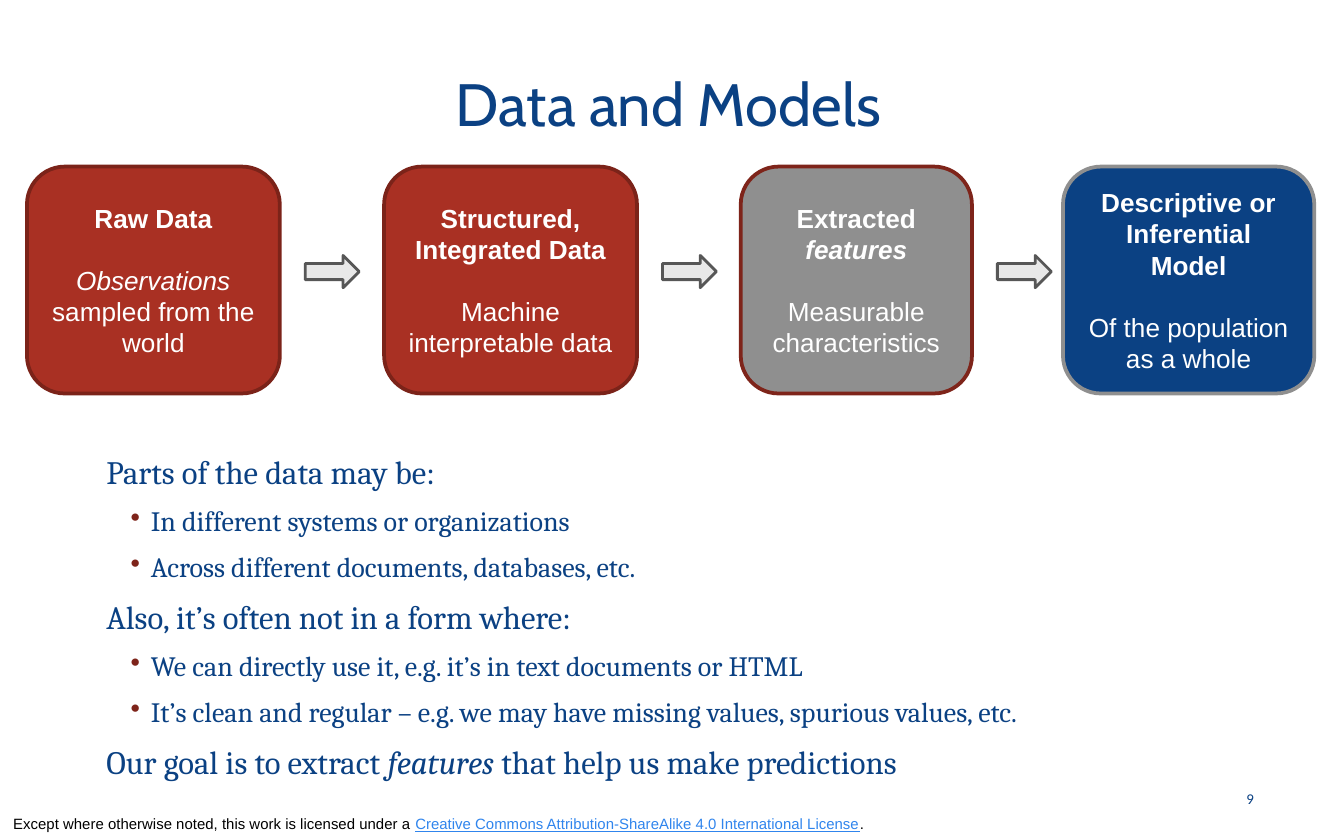
"""Build the "Data and Models" slide with its four-stage flow and talking points."""
import lxml.etree
import pptx
import pptx.dml.color
import pptx.enum.shapes
import pptx.enum.text
import pptx.oxml.ns
import pptx.util

Cm = pptx.util.Cm
Pt = pptx.util.Pt
RGBColor = pptx.dml.color.RGBColor
ALIGN = pptx.enum.text.PP_ALIGN
ANCHOR = pptx.enum.text.MSO_ANCHOR
SHAPE = pptx.enum.shapes.MSO_SHAPE
qn = pptx.oxml.ns.qn

NAVY = RGBColor(0x0B, 0x41, 0x83)
RED = RGBColor(0xA9, 0x30, 0x23)
DARK_RED = RGBColor(0x7B, 0x23, 0x19)
MAROON = RGBColor(0x7E, 0x24, 0x1A)
GRAY = RGBColor(0x8F, 0x8F, 0x8F)
LIGHT_GRAY = RGBColor(0xE8, 0xE8, 0xE8)
DARK_GRAY = RGBColor(0x57, 0x57, 0x57)
LINK_BLUE = RGBColor(0x30, 0x85, 0xED)
WHITE = RGBColor(0xFF, 0xFF, 0xFF)
BLACK = RGBColor(0x00, 0x00, 0x00)

BOX_TOP, BOX_HEIGHT = 3.15, 4.29
ARROW_WIDTH, ARROW_HEIGHT, ARROW_GAP = 1.02, 0.61, 0.48
BOLD = {"bold": True}
ITALIC = {"italic": True}

STAGES = [
    (0.51, 4.78, RED, DARK_RED, [("Raw Data", BOLD)],
     [("Observations", ITALIC), (" sampled from the world", {})]),
    (7.26, 4.78, RED, DARK_RED, [("Structured, Integrated Data", BOLD)],
     [("Machine interpretable data", {})]),
    (14.0, 4.37, GRAY, MAROON,
     [("Extracted ", BOLD), ("features", {"bold": True, "italic": True})],
     [("Measurable characteristics", {})]),
    (20.09, 4.75, NAVY, GRAY, [("Descriptive or Inferential Model", BOLD)],
     [("Of the population as a whole", {})]),
]

POINTS = [
    (0, [("Parts of the data may be:", {})]),
    (1, [("In different systems or organizations", {})]),
    (1, [("Across different documents, databases, etc.", {})]),
    (0, [("Also, it’s often not in a form where:", {})]),
    (1, [("We can directly use it, e.g. it’s in text documents or HTML", {})]),
    (1, [("It’s clean and regular – e.g. we may have missing values, spurious values, etc.", {})]),
    (0, [("Our goal is to extract ", {}), ("features", ITALIC),
         (" that help us make predictions", {})]),
]


def write_text(paragraph, runs, *, size, font, color, align=ALIGN.LEFT, before=0):
    """Fill a paragraph with runs, each a text and its own format."""
    paragraph.alignment = align
    paragraph.space_before = Pt(before)
    for text, style in runs:
        run = paragraph.add_run()
        run.text = text
        run.font.size = Pt(size)
        run.font.name = font
        run.font.color.rgb = style.get("color", color)
        run.font.bold = style.get("bold", False)
        run.font.italic = style.get("italic", False)
        run.font.underline = style.get("underline", False)


def add_text_box(slide, left, top, width, height, *, anchor=ANCHOR.MIDDLE, margin=0.13):
    """Add a wrapping text box and return its text frame."""
    shape = slide.shapes.add_textbox(Cm(left), Cm(top), Cm(width), Cm(height))
    frame = shape.text_frame
    frame.word_wrap = True
    frame.vertical_anchor = anchor
    frame.margin_top = frame.margin_bottom = Cm(margin)
    return frame


def add_filled_shape(slide, kind, left, top, width, height, *, fill, line, weight):
    """Add a flat preset shape with a fill and an outline."""
    shape = slide.shapes.add_shape(kind, Cm(left), Cm(top), Cm(width), Cm(height))
    shape.shadow.inherit = False
    shape.fill.solid()
    shape.fill.fore_color.rgb = fill
    shape.line.color.rgb = line
    shape.line.width = Pt(weight)
    return shape


def add_stage(slide, left, width, fill, line, heading, detail):
    """Add one rounded stage box with a heading and its detail."""
    shape = add_filled_shape(slide, SHAPE.ROUNDED_RECTANGLE, left, BOX_TOP, width,
                             BOX_HEIGHT, fill=fill, line=line, weight=2)
    frame = shape.text_frame
    frame.word_wrap = True
    frame.vertical_anchor = ANCHOR.MIDDLE
    style = {"size": 14, "font": "Arial", "color": WHITE, "align": ALIGN.CENTER}
    write_text(frame.paragraphs[0], heading, **style)
    write_text(frame.add_paragraph(), detail, before=16.5, **style)


def add_arrow(slide, left):
    """Add a block arrow centred on the height of the stage boxes."""
    top = BOX_TOP + (BOX_HEIGHT - ARROW_HEIGHT) / 2 - 0.16
    add_filled_shape(slide, SHAPE.RIGHT_ARROW, left, top, ARROW_WIDTH, ARROW_HEIGHT,
                     fill=LIGHT_GRAY, line=DARK_GRAY, weight=1.5)


def set_indent(paragraph, level):
    """Indent a paragraph, with a coloured bullet on the second level."""
    properties = paragraph._p.get_or_add_pPr()
    left, hanging = (1.3, -0.38) if level else (0.46, 0)
    properties.set("marL", str(Cm(left)))
    properties.set("indent", str(Cm(hanging)))
    if level:
        properties.set("lvl", str(level))
        color = lxml.etree.SubElement(properties, qn("a:buClr"))
        lxml.etree.SubElement(color, qn("a:srgbClr"), val=str(MAROON))
        lxml.etree.SubElement(properties, qn("a:buChar"), char="•")


def add_points(slide):
    """Add the two-level list below the flow."""
    frame = add_text_box(slide, 1.3, 8.81, 22.68, 5.69, margin=0.25)
    for index, (level, runs) in enumerate(POINTS):
        paragraph = frame.add_paragraph() if index else frame.paragraphs[0]
        set_indent(paragraph, level)
        before = (6.8 if level else 7.2) if index else 0
        write_text(paragraph, runs, size=15 if level else 17.5, font="Cambria",
                   color=NAVY, before=before)


def main():
    """Build and save the slide."""
    presentation = pptx.Presentation()
    presentation.slide_width = Cm(25.4)
    presentation.slide_height = Cm(15.88)
    slide = presentation.slides.add_slide(presentation.slide_layouts[6])

    footer = add_text_box(slide, 0, 15.29, 19.05, 0.58, anchor=ANCHOR.BOTTOM)
    write_text(footer.paragraphs[0], [
        ("Except where otherwise noted, this work is licensed under a ", {}),
        ("Creative Commons Attribution-ShareAlike 4.0 International License",
         {"color": LINK_BLUE, "underline": True}),
        (".", {}),
    ], size=8, font="Arial", color=BLACK)

    title = add_text_box(slide, 1.3, 0.43, 22.68, 3.02, margin=0.25)
    write_text(title.paragraphs[0], [("Data and Models", {})], size=32, font="Cabin",
               color=NAVY, align=ALIGN.CENTER)

    add_points(slide)
    number = add_text_box(slide, 22.81, 14.68, 1.14, 0.84)
    write_text(number.paragraphs[0], [("9", {})], size=8, font="Calibri", color=NAVY,
               align=ALIGN.RIGHT)

    for stage in STAGES:
        add_stage(slide, *stage)
    for left, width, *_ in STAGES[:-1]:
        add_arrow(slide, left + width + ARROW_GAP)

    presentation.save("out.pptx")


if __name__ == "__main__":
    main()
